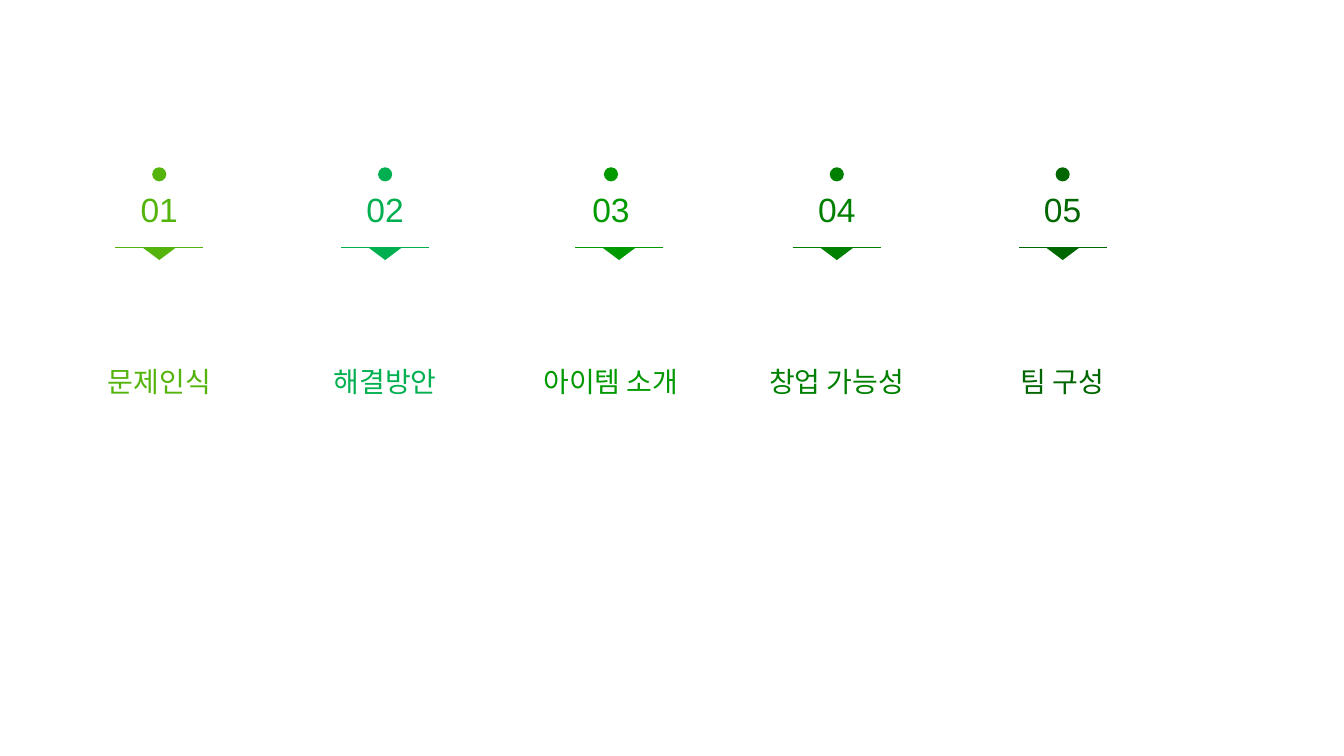
from pptx import Presentation
from pptx.dml.color import RGBColor
from pptx.enum.shapes import MSO_CONNECTOR, MSO_SHAPE
from pptx.enum.text import MSO_ANCHOR, PP_ALIGN
from pptx.oxml.ns import qn
from pptx.util import Inches, Pt
from lxml import etree

STRAIGHT = MSO_CONNECTOR.STRAIGHT
OVAL = MSO_SHAPE.OVAL
TRIANGLE = MSO_SHAPE.ISOSCELES_TRIANGLE
MIDDLE = MSO_ANCHOR.MIDDLE
CENTER = PP_ALIGN.CENTER

LIME = RGBColor(0x54, 0xB4, 0x0C)
EMERALD = RGBColor(0x00, 0xB0, 0x50)
GREEN = RGBColor(0x00, 0x99, 0x00)
DEEP_GREEN = RGBColor(0x00, 0x80, 0x00)
FOREST = RGBColor(0x00, 0x66, 0x00)

FONT = "Arial"
FIRST_LEFT, TOP, COLUMN_WIDTH, COLUMN_PITCH = 0.65, 1.66, 1.86, 2.24
DOT_SIZE = 0.14
ARROW_WIDTH, ARROW_HEIGHT = 0.32, 0.12
RULE_WIDTH = 0.87

SECTIONS = [
    ("문제인식", LIME, 0),
    ("해결방안", EMERALD, 0),
    ("아이템 소개", GREEN, 0.08),
    ("창업 가능성", DEEP_GREEN, 0),
    ("팀 구성", FOREST, 0),
]


def add_text(shapes, text, left, top, width, height, *, size, color, spacing=None):
    """Add a centred line of text in the given box."""
    box = shapes.add_textbox(Inches(left), Inches(top), Inches(width), Inches(height))
    frame = box.text_frame
    frame.word_wrap = True
    frame.vertical_anchor = MIDDLE
    para = frame.paragraphs[0]
    para.alignment = CENTER
    if spacing:
        para.line_spacing = spacing
    span = para.add_run()
    span.text = text
    span.font.name = FONT
    span.font.size = Pt(size)
    span.font.color.rgb = color


def add_solid(shapes, kind, left, top, width, height, color):
    """Add a filled shape without outline or shadow."""
    shape = shapes.add_shape(kind, Inches(left), Inches(top), Inches(width), Inches(height))
    shape.shadow.inherit = False
    shape.fill.solid()
    shape.fill.fore_color.rgb = color
    shape.line.fill.background()
    return shape


def add_rule(shapes, left, top, width, color):
    """Add a thin horizontal line."""
    rule = shapes.add_connector(
        STRAIGHT, Inches(left), Inches(top), Inches(left + width), Inches(top))
    rule.line.color.rgb = color
    rule.line.width = Pt(0.75)
    etree.SubElement(rule.element.spPr, qn("a:effectLst"))


def add_section(page, number, title, color, marker_shift, left, top, width):
    """Place one agenda column: dot, number, divider with arrow, and title."""
    shapes = page.shapes.add_group_shape().shapes
    center = left + width / 2
    marker_center = center + marker_shift
    divider_top = top + 0.8
    add_solid(shapes, OVAL, center - DOT_SIZE / 2, top, DOT_SIZE, DOT_SIZE, color)
    add_text(shapes, f"{number:02d}", left, top + 0.14, width, 0.54, size=24, color=color)
    add_text(shapes, title, left, top + 1.01, width, 2.05, size=20, color=color, spacing=1.5)
    arrow = add_solid(shapes, TRIANGLE, marker_center - ARROW_WIDTH / 2, divider_top,
                      ARROW_WIDTH, ARROW_HEIGHT, color)
    arrow.rotation = 180
    add_rule(shapes, marker_center - RULE_WIDTH / 2, divider_top, RULE_WIDTH, color)


def main():
    """Build the agenda slide and save the deck."""
    deck = Presentation()
    deck.slide_width, deck.slide_height = Inches(13.33), Inches(7.5)
    page = deck.slides.add_slide(deck.slide_layouts[6])
    for index, (title, color, marker_shift) in enumerate(SECTIONS):
        add_section(page, index + 1, title, color, marker_shift,
                    FIRST_LEFT + index * COLUMN_PITCH, TOP, COLUMN_WIDTH)
    deck.save("out.pptx")


if __name__ == "__main__":
    main()
